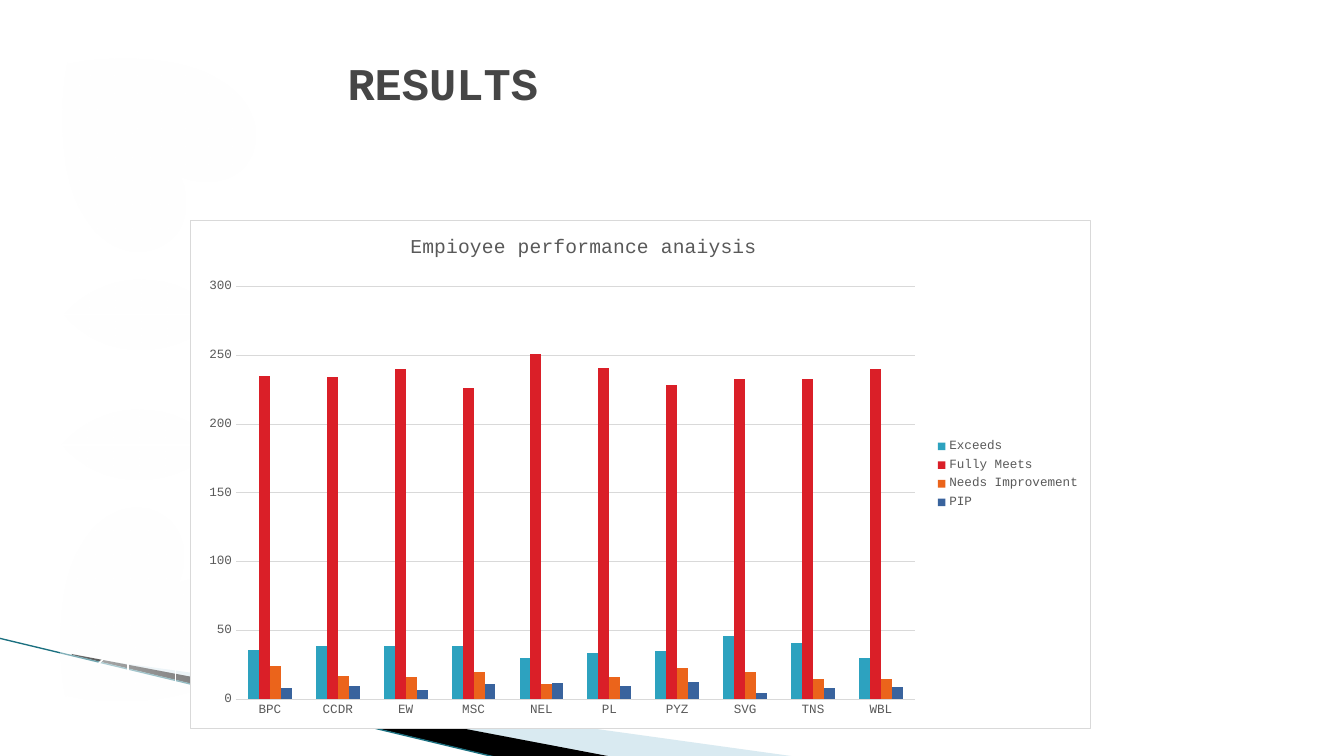
from lxml.etree import SubElement
from pptx import Presentation
from pptx.chart.data import CategoryChartData
from pptx.dml.color import RGBColor
from pptx.enum.chart import XL_CHART_TYPE, XL_LEGEND_POSITION, XL_TICK_MARK
from pptx.enum.shapes import MSO_CONNECTOR
from pptx.enum.text import MSO_ANCHOR
from pptx.oxml import parse_xml
from pptx.oxml.ns import nsdecls, qn
from pptx.util import Cm, Pt

FACE = "Courier New"
WHITE, GREY, RULE = "FFFFFF", "595959", "D9D9D9"
UNITS = ["BPC", "CCDR", "EW", "MSC", "NEL", "PL", "PYZ", "SVG", "TNS", "WBL"]
GRADES = [
    ("Exceeds", "2DA2BF", [36, 39, 39, 39, 30, 34, 35, 46, 41, 30]),
    ("Fully Meets", "DA1F28", [235, 234, 240, 226, 251, 241, 228, 233, 233, 240]),
    ("Needs Improvement", "EB641B", [24, 17, 16, 20, 11, 16, 23, 20, 15, 15]),
    ("PIP", "39639D", [8, 10, 7, 11, 12, 10, 13, 5, 8, 9]),
]

# Flower outlines in cm: a pair is a corner, six numbers are a curve
RIGHT = [(1.7, 1.6), (4.52, 4.42), (4.8, 4.52),
         (5.38, 4.65, 5.82, 4.5, 6.12, 4.22),
         (6.15, 4.19, 6.2, 4.14, 6.22, 4.09),
         (6.93, 3.15, 6.07, 1.12, 2.16, 1.52)]
LEFT = [(1.7, 1.57), (1.63, 2.03), (1.22, 5.94, 3.25, 6.83, 4.19, 6.1),
        (4.57, 5.84, 4.78, 5.33, 4.62, 4.67), (4.52, 4.39)]
LENS = [(3.58, 7.04), (4.34, 7.04, 5.05, 7.37, 5.54, 7.92), (1.6, 7.92),
        (2.08, 7.37, 2.77, 7.04, 3.58, 7.04)]
HOOKS = [[(1.73, 4.37), (4.47, 4.37), (4.47, 1.63)],
         [(1.6, 3.18), (3.28, 3.18), (3.28, 1.47)]]
VEINS = [[(1.7, 1.57), (6.05, 5.92)], [(6.22, 2.64), (2.74, 6.1)],
         [(6.78, 7.92), (1.6, 7.92)]]


def tint(code):
    return RGBColor.from_string(code)


def style(font, **form):
    font.color.rgb = tint(form.pop("color", GREY))
    for key, value in {"name": FACE, "bold": False, **form}.items():
        setattr(font, key, value)


def fade(node, share):
    """Give a colour node an opacity in percent."""
    SubElement(node, qn("a:alpha"), val=str(share * 1000))


def flip(steps, shift=-0.05, total=19.13):
    """Mirror an outline from top to bottom."""
    return [tuple(total - n if i % 2 else n + shift for i, n in enumerate(step))
            for step in steps]


def bend(form, steps):
    """Join three corners into one curve wherever a step has six numbers."""
    trail = form.element.find(".//" + qn("a:path"))
    nodes = iter(trail.findall(qn("a:lnTo")))
    for step in steps[1:]:
        trio = [next(nodes) for _ in range(len(step) // 2)]
        if len(trio) == 3:
            curve = parse_xml(f'<a:cubicBezTo {nsdecls("a")}/>')
            trio[0].addprevious(curve)
            for node in trio:
                curve.append(node[0])
                trail.remove(node)


def frame(form, box):
    """Give an outline a new frame without moving its points."""
    left, top, wide, high = [Cm(n) for n in box]
    trail = form.element.find(".//" + qn("a:path"))
    for node in trail.iter(qn("a:pt")):
        node.set("x", str(int(node.get("x")) + form.left - left))
        node.set("y", str(int(node.get("y")) + form.top - top))
    trail.set("w", str(wide))
    trail.set("h", str(high))
    for key, value in {"left": left, "top": top, "width": wide,
                       "height": high}.items():
        setattr(form, key, value)


def add_form(slide, steps, close=True):
    dots = [(Cm(x), Cm(y)) for step in steps
            for x, y in zip(step[::2], step[1::2])]
    pen = slide.shapes.build_freeform(*dots[0], scale=1.0)
    pen.add_line_segments(dots[1:], close=close)
    form = pen.convert_to_shape()
    bend(form, steps)
    form.shadow.inherit = False
    form.line.fill.background()
    return form


def add_band(slide, steps, box, code, share=100):
    form = add_form(slide, steps, close=False)
    frame(form, box)
    form.fill.solid()
    form.fill.fore_color.rgb = tint(code)
    if share < 100:
        fade(next(form.element.iter(qn("a:srgbClr"))), share)


def add_petal(slide, steps, turn, last):
    """White shape that fades from 80 percent to the last opacity."""
    form = add_form(slide, steps)
    form.fill.gradient()
    form.fill.gradient_angle = 360 - turn
    for stop, place in zip(form.fill.gradient_stops, (0, 1)):
        stop.color.rgb = tint(WHITE)
        stop.position = place
    for node, share in zip(form.element.iter(qn("a:srgbClr")), (80, last)):
        fade(node, share)


def add_hook(slide, steps):
    form = add_form(slide, steps, close=False)
    form.fill.background()
    form.line.color.rgb = tint(WHITE)
    form.line.width = Pt(1)


def add_line(slide, start, end, code=WHITE, width=1):
    line = slide.shapes.add_connector(
        MSO_CONNECTOR.STRAIGHT, *[Cm(n) for n in (*start, *end)])
    line.line.color.rgb = tint(code)
    line.line.width = Pt(width)
    SubElement(line.element.spPr, qn("a:effectLst"))


def add_flower(slide, move):
    for vein in VEINS[:2]:
        add_line(slide, *move(vein))
    for hook in HOOKS:
        add_hook(slide, move(hook))
    under = flip(LENS, 0, 15.84)
    for steps, turn, last in ((RIGHT, 315, 20), (LEFT, 45, 10),
                              (LENS, 315, 20), (under, 45, 10)):
        add_petal(slide, move(steps), turn, last)
    add_line(slide, *move(VEINS[2]))


def add_title(slide, text):
    box = slide.shapes.add_textbox(Cm(8.76), Cm(1.12), Cm(23.52), Cm(3.3))
    form = {"word_wrap": True, "vertical_anchor": MSO_ANCHOR.MIDDLE,
            "margin_left": 0, "margin_top": Cm(0.13), "margin_bottom": Cm(1.52)}
    for key, value in form.items():
        setattr(box.text_frame, key, value)
    run = box.text_frame.paragraphs[0].add_run()
    run.text = text
    style(run.font, size=Pt(32.4), bold=True, color="464646")


def place(node, index, **form):
    """Set a chart part by shares of the chart's size."""
    for old in node.findall(qn("c:layout")):
        node.remove(old)
    layout = parse_xml(f'<c:layout {nsdecls("c")}><c:manualLayout/></c:layout>')
    for key, value in form.items():
        SubElement(layout[0], qn("c:" + key), val=str(value))
    node.insert(index, layout)


def add_graph(slide):
    data = CategoryChartData()
    data.categories = UNITS
    for name, _, marks in GRADES:
        data.add_series(name, marks)
    chart = slide.shapes.add_chart(
        XL_CHART_TYPE.COLUMN_CLUSTERED, Cm(4.8), Cm(5.54), Cm(22.69),
        Cm(12.83), data).chart
    style(chart.font, size=Pt(10), color="000000")

    # Title and legend
    title = chart.chart_title.text_frame
    title.text = "Empioyee performance anaiysis"
    style(title.paragraphs[0].runs[0].font, size=Pt(14))
    chart.has_legend = True
    chart.legend.position = XL_LEGEND_POSITION.RIGHT
    chart.legend.include_in_layout = False
    style(chart.legend.font, size=Pt(9))

    # Axes and grid
    side, base = chart.value_axis, chart.category_axis
    for axis in (side, base):
        axis.major_tick_mark = axis.minor_tick_mark = XL_TICK_MARK.NONE
        style(axis.tick_labels.font, size=Pt(9))
    for key, value in {"minimum_scale": 0, "maximum_scale": 300,
                       "major_unit": 50}.items():
        setattr(side, key, value)
    side.format.line.fill.background()
    for line in (base.format.line, side.major_gridlines.format.line):
        line.color.rgb = tint(RULE)
        line.width = Pt(0.75)

    # Columns
    plot = chart.plots[0]
    for key, value in {"gap_width": 219, "overlap": 0,
                       "vary_by_categories": False}.items():
        setattr(plot, key, value)
    for row, (_, code, _) in zip(plot.series, GRADES):
        row.format.fill.solid()
        row.format.fill.fore_color.rgb = tint(code)

    # Places, chart area and border
    root = chart.element.find(qn("c:chart"))
    place(root.find(qn("c:title")), 1, xMode="edge", yMode="edge", x=0.24, y=0.02)
    place(root.find(qn("c:plotArea")), 0, layoutTarget="inner", xMode="edge",
          yMode="edge", x=0.05, y=0.13, w=0.755, h=0.813)
    root.addnext(parse_xml(
        f'<c:spPr {nsdecls("c", "a")}><a:solidFill><a:srgbClr val="{WHITE}"/>'
        f'</a:solidFill><a:ln w="{Pt(0.75)}"><a:solidFill>'
        f'<a:srgbClr val="{RULE}"/></a:solidFill></a:ln></c:spPr>'))


def main():
    deck = Presentation()
    deck.slide_width, deck.slide_height = Cm(33.87), Cm(19.05)
    slide = deck.slides.add_slide(deck.slide_layouts[6])

    # Corner bands
    add_band(slide, [(1.85, 16.54), (20.14, 19.08), (15.44, 19.08), (1.85, 16.51)],
             (2.64, 13.89, 14.07, 4.01), "A0CBDC", 40)
    add_band(slide, [(1.8, 16.48), (15.47, 19.08), (12.6, 19.1), (1.83, 16.51)],
             (-0.2, 16.08, 14.07, 2.34), "000000")
    add_line(slide, (-0.03, 16.08), (12.57, 19.1), "1B7080", 0.95)

    # Flowers at the left edge, then the rule below the title
    add_flower(slide, list)
    add_flower(slide, flip)
    add_line(slide, (8.76, 5), (10.26, 5))

    add_title(slide, "RESULTS")
    add_graph(slide)
    deck.save("out.pptx")


if __name__ == "__main__":
    main()
